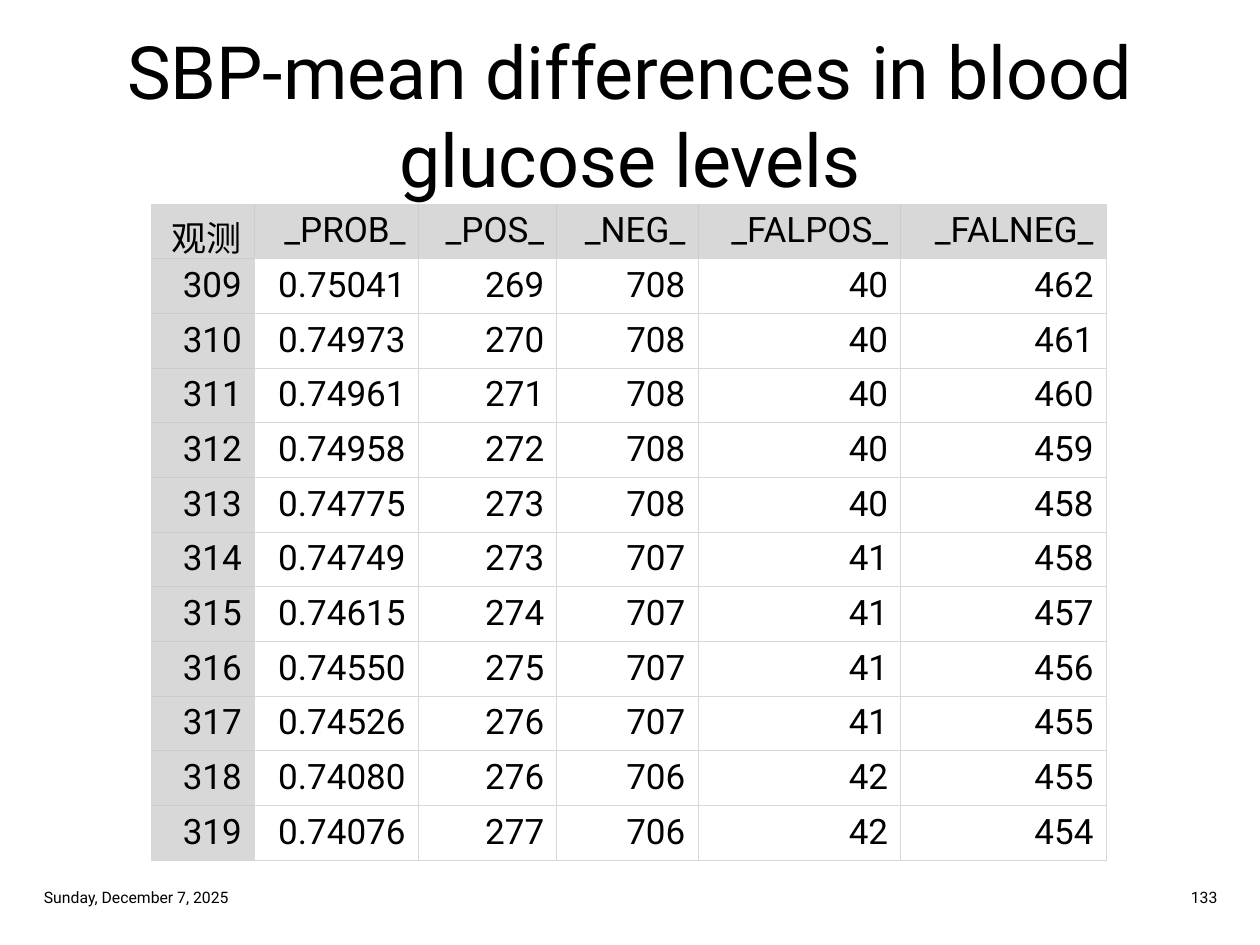
from lxml import etree
from pptx import Presentation
from pptx.dml.color import RGBColor
from pptx.enum.text import MSO_ANCHOR, PP_ALIGN
from pptx.oxml.ns import qn
from pptx.util import Inches, Pt

LEFT, CENTER, RIGHT = PP_ALIGN.LEFT, PP_ALIGN.CENTER, PP_ALIGN.RIGHT
MIDDLE = MSO_ANCHOR.MIDDLE
COLORS = {"ink": "000000", "head": "D8D8D8", "inner": "CCCCCC"}
FONT = "Roboto"

# Content: text, box, size, alignment
TEXTS = [
    ("SBP-mean differences in blood\vglucose levels", (0.25, 0.25, 9.5, 1.31), 42, CENTER),
    ("Sunday, December 7, 2025", (0.25, 6.99, 2.38, 0.26), 9, LEFT),
    ("133", (7.38, 6.99, 2.38, 0.26), 9, RIGHT),
]
ROWS = [
    ("观测", "_PROB_", "_POS_", "_NEG_", "_FALPOS_", "_FALNEG_"),
    ("309", "0.75041", "269", "708", "40", "462"),
    ("310", "0.74973", "270", "708", "40", "461"),
    ("311", "0.74961", "271", "708", "40", "460"),
    ("312", "0.74958", "272", "708", "40", "459"),
    ("313", "0.74775", "273", "708", "40", "458"),
    ("314", "0.74749", "273", "707", "41", "458"),
    ("315", "0.74615", "274", "707", "41", "457"),
    ("316", "0.74550", "275", "707", "41", "456"),
    ("317", "0.74526", "276", "707", "41", "455"),
    ("318", "0.74080", "276", "706", "42", "455"),
    ("319", "0.74076", "277", "706", "42", "454"),
]
WIDTHS = [0.82, 1.3, 1.1, 1.12, 1.61, 1.63]
LINE = 0.42
TOP = (1.2, 1.62)


def write(frame, text, size, align):
    par = frame.paragraphs[0]
    par.text = text
    par.alignment = align
    style = {"name": FONT, "size": Pt(size)}
    for run in par.runs:
        for key, value in style.items():
            setattr(run.font, key, value)
        run.font.color.rgb = RGBColor.from_string(COLORS["ink"])


def border(cell, edges):
    props = cell._tc.get_or_add_tcPr()
    for spot, (side, tone) in enumerate(edges.items()):
        line = etree.Element(qn("a:ln" + side), w=str(Pt(0.5)))
        fill = etree.SubElement(line, qn("a:solidFill"))
        etree.SubElement(fill, qn("a:srgbClr"), val=COLORS[tone])
        props.insert(spot, line)


deck = Presentation()
deck.slide_width, deck.slide_height = Inches(10), Inches(7.5)
slide = deck.slides.add_slide(deck.slide_layouts[6])

# Title and footer
for text, box, size, align in TEXTS:
    frame = slide.shapes.add_textbox(*map(Inches, box)).text_frame
    frame.word_wrap = True
    frame.vertical_anchor = MIDDLE
    write(frame, text, size, align)

# Table
count, width = len(ROWS), len(WIDTHS)
box = (*TOP, sum(WIDTHS), LINE * count)
table = slide.shapes.add_table(count, width, *map(Inches, box)).table
table.first_row = table.horz_banding = False
for col, span in zip(table.columns, WIDTHS):
    col.width = Inches(span)
for row in table.rows:
    row.height = Inches(LINE)

for r, row in enumerate(ROWS):
    for c, text in enumerate(row):
        cell = table.cell(r, c)
        write(cell.text_frame, text, 20, RIGHT)
        head = r == 0 or c == 0
        if head:
            cell.fill.solid()
            cell.fill.fore_color.rgb = RGBColor.from_string(COLORS["head"])
        else:
            cell.fill.background()
        # Header cells have a darker line on each inner edge
        inner = {"L": c > 0, "R": c < width - 1, "T": r > 0, "B": r < count - 1}
        border(cell, {side: "inner" if head and inside else "head"
                      for side, inside in inner.items()})

deck.save("out.pptx")
